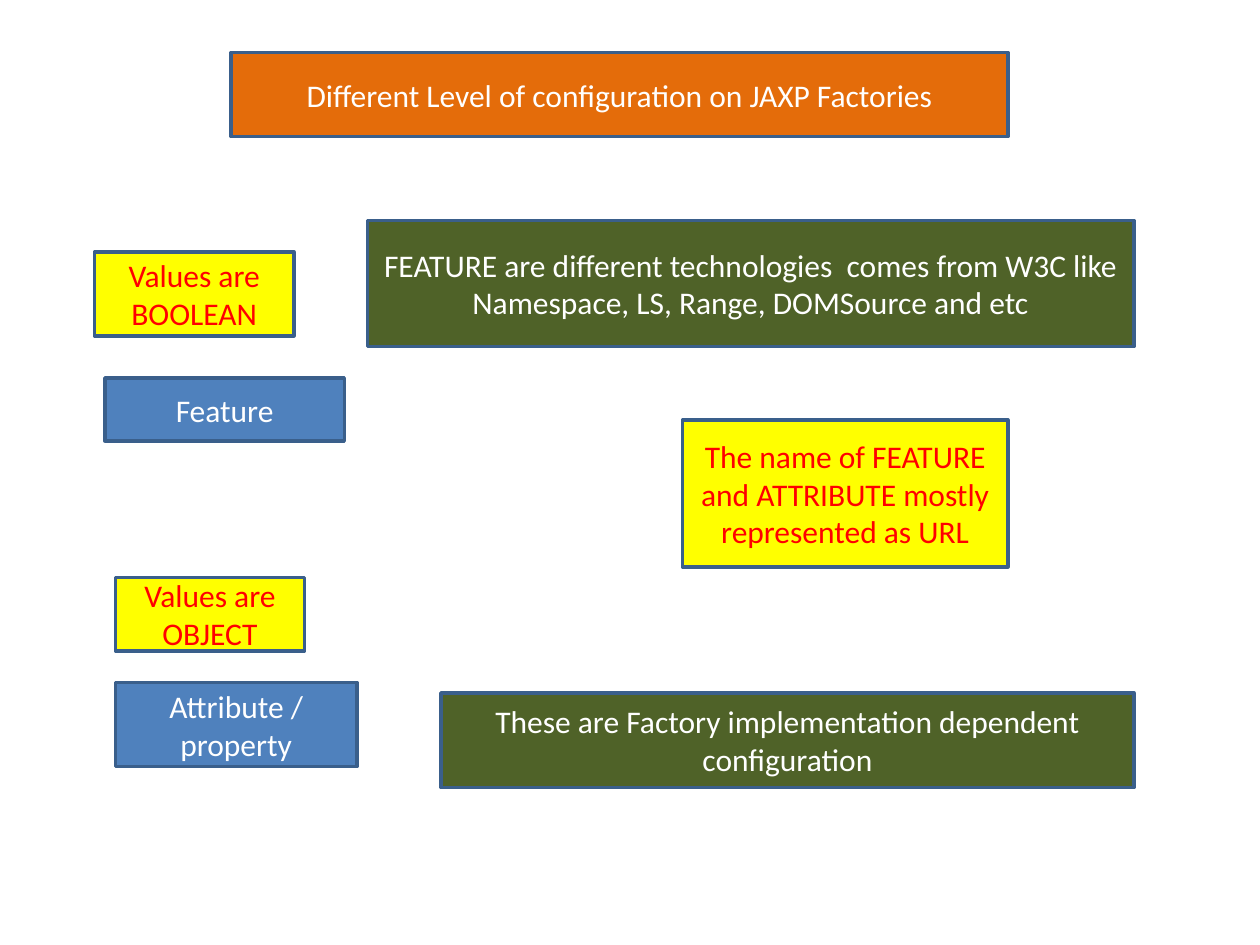
from pptx import Presentation
from pptx.dml.color import RGBColor
from pptx.enum import shapes, text
from pptx.util import Inches, Pt

THEME = {
    "font": {"name": "Calibri", "size": Pt(18), "bold": False},
    "outline": "3A5F8B",
    "outline_width": Pt(2),
    # style: (fill, text colour)
    "title": ("E46C0A", "FFFFFF"),
    "level": ("4F81BD", "FFFFFF"),
    "detail": ("4F6228", "FFFFFF"),
    "note": ("FFFF00", "FF0000"),
}
FRAME = {
    "word_wrap": True,
    "auto_size": text.MSO_AUTO_SIZE.NONE,
    "vertical_anchor": text.MSO_ANCHOR.MIDDLE,
    "margin_left": Inches(0.1), "margin_right": Inches(0.1),
    "margin_top": Inches(0.05), "margin_bottom": Inches(0.05),
}

prs = Presentation()
prs.slide_width, prs.slide_height = Inches(10), Inches(7.5)
s = prs.slides.add_slide(prs.slide_layouts[5])  # Title Only

# Grid of 120 columns by 90 rows
COL, ROW = prs.slide_width / 120, prs.slide_height / 90

# Boxes: style, column, row, columns wide, rows high, wording
boxes = [
    ("title", 22, 5, 74, 8, "Different Level of configuration on JAXP Factories"),
    ("level", 10, 36, 22.8, 6, "Feature"),
    ("level", 11, 65, 23, 8, "Attribute / property"),
    ("detail", 35, 21, 73, 12,
     "FEATURE are different technologies  comes from W3C like "
     "Namespace, LS, Range, DOMSource and etc"),
    ("detail", 42, 66, 66, 9, "These are Factory implementation dependent configuration"),
    ("note", 65, 40, 31, 14, "The name of FEATURE and ATTRIBUTE mostly represented as URL"),
    ("note", 9, 24, 19, 8, "Values are BOOLEAN"),
    ("note", 11, 55, 18, 7, "Values are OBJECT"),
]

for style, col, row, cols, rows, wording in boxes:
    # Position
    place = [round(v) for v in (col * COL, row * ROW, cols * COL, rows * ROW)]
    if style == "title":
        sp = s.shapes.title
        sp.left, sp.top, sp.width, sp.height = place
    else:
        sp = s.shapes.add_shape(shapes.MSO_SHAPE.RECTANGLE, *place)
        sp.shadow.inherit = False

    # Fill and outline
    fill, ink = THEME[style]
    sp.fill.solid()
    sp.fill.fore_color.rgb = RGBColor.from_string(fill)
    sp.line.color.rgb = RGBColor.from_string(THEME["outline"])
    sp.line.width = THEME["outline_width"]

    # Text
    tf = sp.text_frame
    for name, value in FRAME.items():
        setattr(tf, name, value)
    p = tf.paragraphs[0]
    p.alignment = text.PP_ALIGN.CENTER
    r = p.add_run()
    r.text = wording
    for name, value in THEME["font"].items():
        setattr(r.font, name, value)
    r.font.color.rgb = RGBColor.from_string(ink)

prs.save("out.pptx")
